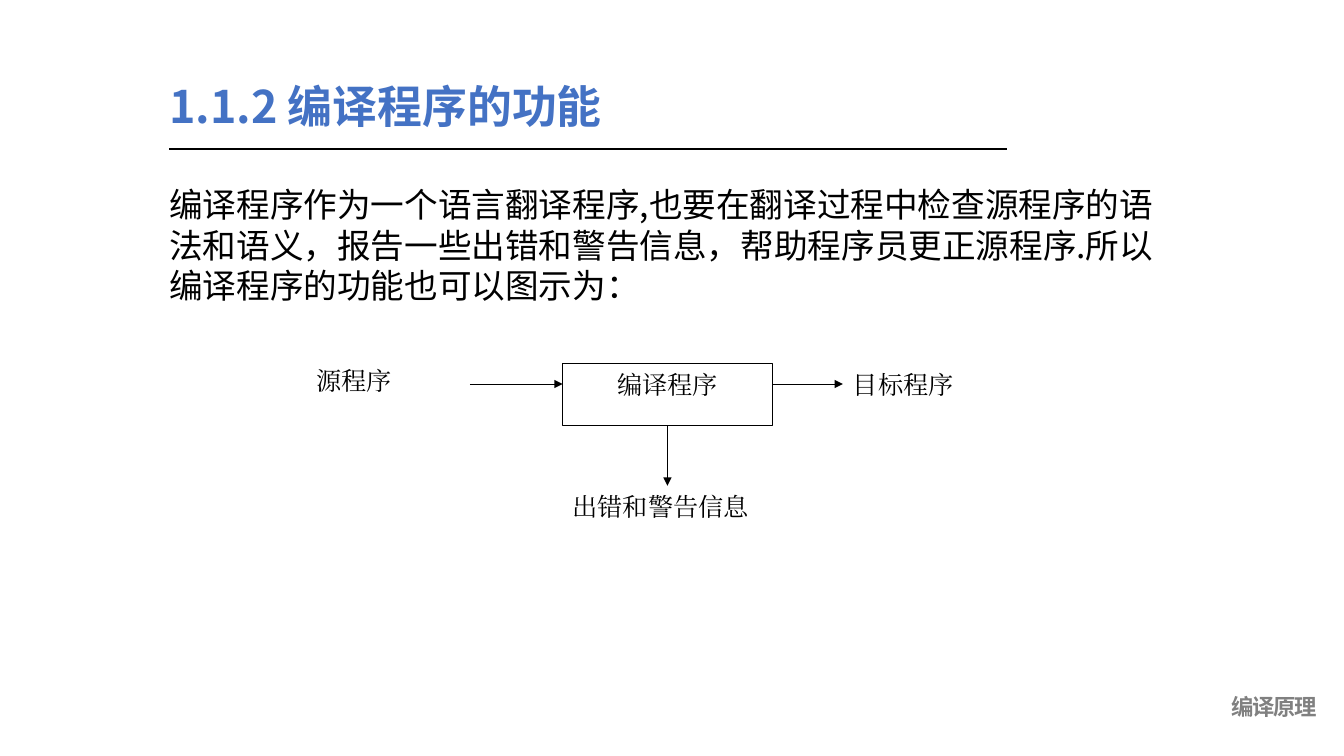
from lxml.etree import SubElement
from pptx import Presentation
from pptx.dml.color import RGBColor
from pptx.enum.shapes import MSO_CONNECTOR as Connector, MSO_SHAPE as Shape
from pptx.enum.text import MSO_ANCHOR as Anchor, MSO_AUTO_SIZE as AutoSize, PP_ALIGN as Align
from pptx.oxml.ns import qn
from pptx.util import Inches, Pt

SANS = "Noto Sans CJK SC"
SERIF = "Times New Roman"
BLACK = "000000"


def rgb(value):
    """Return the colour for a hex string."""
    return RGBColor.from_string(value)


def write(frame, text, size, face, color=BLACK, bold=False, align=Align.LEFT):
    """Put one formatted paragraph in a text frame and return its run."""
    frame.word_wrap = True
    frame.vertical_anchor = Anchor.TOP
    frame.text = text
    paragraph = frame.paragraphs[0]
    paragraph.alignment = align
    run = paragraph.runs[0]
    run.font.size = Pt(size)
    run.font.bold = bold
    run.font.color.rgb = rgb(color)
    run.font.name = face
    SubElement(run.font._element, qn("a:ea"), typeface=face)
    return run


def add_text(slide, area, text, size, **style):
    """Add a text box that grows with its text."""
    box = slide.shapes.add_textbox(*map(Inches, area))
    run = write(box.text_frame, text, size, SANS, **style)
    box.text_frame.auto_size = AutoSize.SHAPE_TO_FIT_TEXT
    return box.text_frame, run


def add_block(slide, area, text, align=Align.JUSTIFY, outlined=False):
    """Add a white rectangle of the diagram with its label."""
    block = slide.shapes.add_shape(Shape.RECTANGLE, *map(Inches, area))
    block.shadow.inherit = False
    block.fill.solid()
    block.fill.fore_color.rgb = rgb("FFFFFF")
    if outlined:
        block.line.color.rgb = rgb(BLACK)
        block.line.width = Pt(0.75)
    else:
        block.line.fill.background()
    write(block.text_frame, text, 18, SERIF, align=align)
    return block


def add_line(slide, start, end, width=0.75, arrow=True):
    """Add a black straight line, with an arrowhead at its end if asked."""
    line = slide.shapes.add_connector(Connector.STRAIGHT, *map(Inches, start + end))
    line.line.color.rgb = rgb(BLACK)
    line.line.width = Pt(width)
    if arrow:
        SubElement(line.line._get_or_add_ln(), qn("a:tailEnd"), type="triangle")
    SubElement(line._element.spPr, qn("a:effectLst"))
    return line


def add_diagram(slide):
    """Draw the compiler with its input, output and messages."""
    left, top, width, height = 5.58, 3.61, 2.08, 0.61
    label_width, label_height = 1.62, 0.81
    flow_y, source_end, target_left, message_top = 3.81, 4.66, 8.36, 4.82
    right, bottom, middle = left + width, top + height, left + width / 2

    add_block(slide, (source_end - label_width, 3.57, label_width, label_height), "源程序")
    add_block(slide, (target_left, top, label_width, label_height), "目标程序")
    add_block(slide, (left, message_top, 3, label_height), "出错和警告信息")
    compiler = add_block(slide, (left, top, width, height), "编译程序", Align.CENTER, True)

    add_line(slide, (source_end, flow_y), (left, flow_y))
    add_line(slide, (right, flow_y), (target_left, flow_y))
    message_arrow = add_line(slide, (middle, bottom), (middle, message_top))
    message_arrow.begin_connect(compiler, 2)


def add_course_name(slide):
    """Add the course name at the bottom right."""
    frame, run = add_text(slide, (11, 6.84, 2.06, 0.31), "编译原理", 16,
                          color="808080", bold=True, align=Align.RIGHT)
    frame.margin_left = frame.margin_right = frame.margin_bottom = 0
    frame.margin_top = Inches(0.04)
    run.font._element.set("spc", "-100")


def main():
    """Build and save the slide."""
    deck = Presentation()
    deck.slide_width, deck.slide_height = Inches(13.33), Inches(7.5)
    slide = deck.slides.add_slide(deck.slide_layouts[6])
    add_course_name(slide)
    add_text(slide, (1.58, 0.73, 4.71, 0.64), "1.1.2 编译程序的功能", 32,
             color="4472C4", bold=True)
    add_line(slide, (1.68, 1.48), (9.99, 1.48), width=1.5, arrow=False)
    add_text(slide, (1.58, 1.78, 10.01, 1.31),
             "编译程序作为一个语言翻译程序,也要在翻译过程中检查源程序的语法和语义，"
             "报告一些出错和警告信息，帮助程序员更正源程序."
             "所以编译程序的功能也可以图示为：", 24)
    add_diagram(slide)
    deck.save("out.pptx")


if __name__ == "__main__":
    main()
